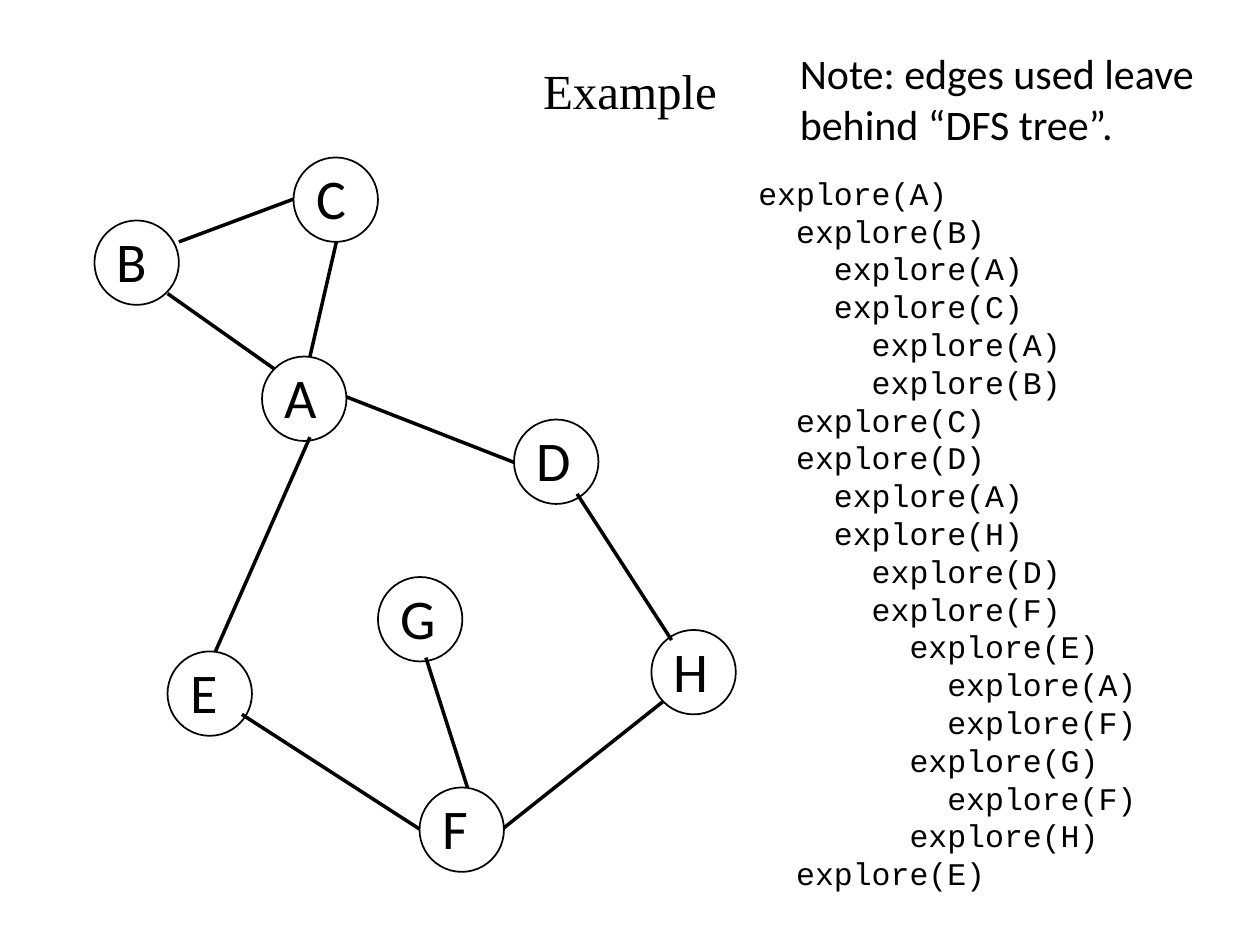
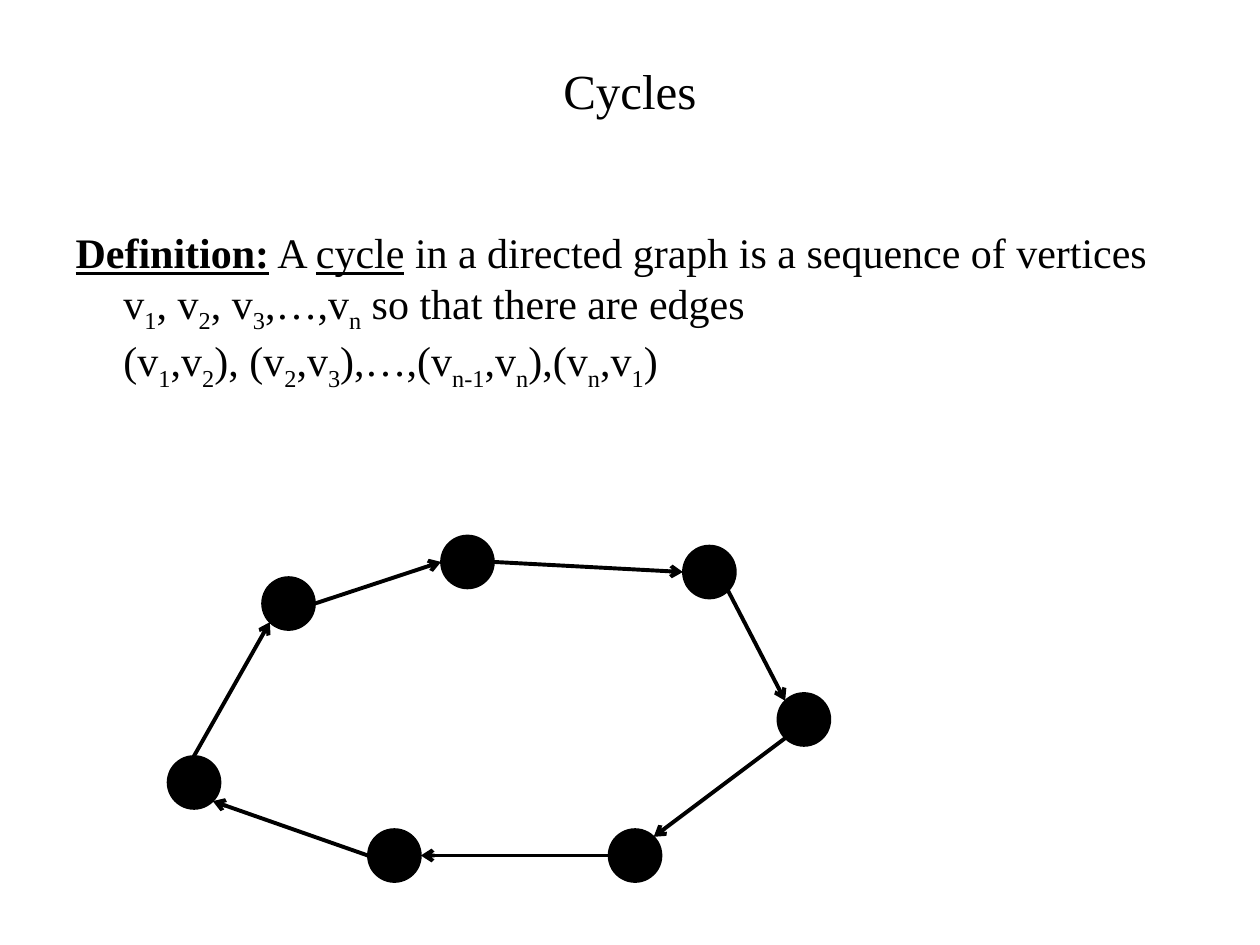
from math import cos, radians, sin
from typing import NamedTuple

from lxml import etree
from pptx import Presentation
from pptx.dml.color import RGBColor
from pptx.enum.shapes import MSO_CONNECTOR, MSO_SHAPE
from pptx.enum.text import MSO_ANCHOR, MSO_AUTO_SIZE, PP_ALIGN
from pptx.oxml.ns import qn
from pptx.util import Inches, Pt

BLACK = RGBColor(0, 0, 0)
WHITE = RGBColor(255, 255, 255)
SERIF, SANS, MONO = "Times New Roman", "Calibri", "Courier New"
ELLIPSE = MSO_SHAPE.OVAL
STRAIGHT = MSO_CONNECTOR.STRAIGHT
CENTER = PP_ALIGN.CENTER
MIDDLE, TOP = MSO_ANCHOR.MIDDLE, MSO_ANCHOR.TOP
NO_FIT, GROW = MSO_AUTO_SIZE.NONE, MSO_AUTO_SIZE.SHAPE_TO_FIT_TEXT
TITLE_ONLY, TITLE_AND_BODY = 5, 1

VERTEX_SIZE = 0.67
DOT_SIZE = 0.42
RIGHT, BOTTOM_RIGHT, BOTTOM_LEFT, LEFT = 0, 45, 135, 180
TOP_LEFT, TOP_MIDDLE, TOP_RIGHT = 225, 270, 315


class Point(NamedTuple):
    x: float
    y: float


class Vertex(NamedTuple):
    letter: str
    corner: Point


class Edge(NamedTuple):
    start: Point
    end: Point


class Call(NamedTuple):
    depth: int
    vertex: str


class Dot(NamedTuple):
    corner: Point
    entry: int
    leave: int

    def rim(self, angle: int) -> Point:
        radius = DOT_SIZE / 2
        return Point(
            self.corner.x + radius + radius * cos(radians(angle)),
            self.corner.y + radius + radius * sin(radians(angle)),
        )


VERTICES = [
    Vertex("A", Point(2.08, 2.83)),
    Vertex("B", Point(0.75, 1.75)),
    Vertex("C", Point(2.33, 1.25)),
    Vertex("D", Point(4.08, 3.33)),
    Vertex("E", Point(1.33, 5.17)),
    Vertex("F", Point(3.33, 6.25)),
    Vertex("G", Point(3, 4.58)),
    Vertex("H", Point(5.17, 5)),
]
EDGES = [
    Edge(Point(2.67, 1.92), Point(2.46, 2.83)),
    Edge(Point(1.33, 2.33), Point(2.18, 2.93)),
    Edge(Point(2.33, 1.58), Point(1.42, 1.92)),
    Edge(Point(4.08, 3.67), Point(2.75, 3.15)),
    Edge(Point(5.33, 5.08), Point(4.58, 3.92)),
    Edge(Point(5.26, 5.57), Point(4, 6.57)),
    Edge(Point(3.38, 5.22), Point(3.71, 6.25)),
    Edge(Point(1.92, 5.67), Point(3.33, 6.58)),
    Edge(Point(2.46, 3.47), Point(1.71, 5.17)),
]
CALLS = [
    Call(0, "A"), Call(1, "B"), Call(2, "A"), Call(2, "C"), Call(3, "A"),
    Call(3, "B"), Call(1, "C"), Call(1, "D"), Call(2, "A"), Call(2, "H"),
    Call(3, "D"), Call(3, "F"), Call(4, "E"), Call(5, "A"), Call(5, "F"),
    Call(4, "G"), Call(5, "F"), Call(4, "H"), Call(1, "E"),
]
CYCLE = [
    Dot(Point(2.08, 4.58), BOTTOM_LEFT, RIGHT),
    Dot(Point(3.5, 4.25), LEFT, RIGHT),
    Dot(Point(5.42, 4.33), LEFT, BOTTOM_RIGHT),
    Dot(Point(6.17, 5.5), TOP_LEFT, BOTTOM_LEFT),
    Dot(Point(4.83, 6.58), TOP_RIGHT, LEFT),
    Dot(Point(2.92, 6.58), RIGHT, LEFT),
    Dot(Point(1.33, 6), BOTTOM_RIGHT, TOP_MIDDLE),
]
VERTEX_SEQUENCE = [
    " in a directed graph is a sequence of vertices v", "1", ", v", "2",
    ", v", "3", ",…,v", "n", " so that there are edges",
]
EDGE_SEQUENCE = [
    "(v", "1", ",v", "2", "), (v", "2", ",v", "3", "),…,(v", "n-1",
    ",v", "n", "),(v", "n", ",v", "1", ")",
]


def add_run(paragraph, text: str, font_name: str, size: int):
    run = paragraph.add_run()
    run.text = text
    run.font.name = font_name
    run.font.size = Pt(size)
    run.font.color.rgb = BLACK
    return run


def place(shape, left: float, top: float, width: float, height: float) -> None:
    shape.left, shape.top = Inches(left), Inches(top)
    shape.width, shape.height = Inches(width), Inches(height)


def add_titled_slide(deck, layout: int, heading: str):
    slide = deck.slides.add_slide(deck.slide_layouts[layout])
    slide.background.fill.solid()
    slide.background.fill.fore_color.rgb = WHITE
    title = slide.shapes.title
    place(title, 0.75, 0.42, 8.5, 0.58)
    title.text_frame.auto_size = NO_FIT
    title.text_frame.vertical_anchor = MIDDLE
    paragraph = title.text_frame.paragraphs[0]
    paragraph.alignment = CENTER
    add_run(paragraph, heading, SERIF, 28)
    return slide


def add_text(slide, corner: Point, width: float, height: float,
             lines: list[str], font_name: str, size: int):
    frame = slide.shapes.add_textbox(
        Inches(corner.x), Inches(corner.y), Inches(width), Inches(height)
    ).text_frame
    frame.word_wrap = True
    frame.auto_size = GROW
    for index, line in enumerate(lines):
        paragraph = frame.add_paragraph() if index else frame.paragraphs[0]
        add_run(paragraph, line, font_name, size)
    return frame


def add_circle(slide, corner: Point, size: float, filled: bool) -> None:
    circle = slide.shapes.add_shape(
        ELLIPSE, Inches(corner.x), Inches(corner.y), Inches(size), Inches(size)
    )
    circle.shadow.inherit = False
    if filled:
        circle.fill.solid()
        circle.fill.fore_color.rgb = BLACK
    else:
        circle.fill.background()
    circle.line.color.rgb = BLACK
    circle.line.width = Pt(1)


def add_edge(slide, edge: Edge, width: float, directed: bool) -> None:
    connector = slide.shapes.add_connector(
        STRAIGHT, Inches(edge.start.x), Inches(edge.start.y),
        Inches(edge.end.x), Inches(edge.end.y),
    )
    connector.line.color.rgb = BLACK
    connector.line.width = Pt(width)
    properties = connector.element.spPr
    if directed:
        etree.SubElement(properties.find(qn("a:ln")), qn("a:tailEnd"), type="arrow")
    etree.SubElement(properties, qn("a:effectLst"))


def add_subscripted(paragraph, pieces: list[str]) -> None:
    for index, piece in enumerate(pieces):
        run = add_run(paragraph, piece, SERIF, 24)
        if index % 2:
            run.font._element.set("baseline", "-25000")


def build_example(deck) -> None:
    slide = add_titled_slide(deck, TITLE_ONLY, "Example")
    for vertex in VERTICES:
        add_circle(slide, vertex.corner, VERTEX_SIZE, filled=False)
        label_corner = Point(vertex.corner.x + 0.08, vertex.corner.y)
        add_text(slide, label_corner, 0.58, 0.64, [vertex.letter], SANS, 32)
    for edge in EDGES:
        add_edge(slide, edge, 2, directed=False)
    trace_lines = ["  " * call.depth + f"explore({call.vertex})" for call in CALLS]
    trace = add_text(slide, Point(5.92, 1.33), 3.92, 5.8, trace_lines, MONO, 18)
    for paragraph in trace.paragraphs:
        paragraph.line_spacing = Pt(21.6)
    add_text(slide, Point(6.25, 0.33), 3.5, 0.9,
             ["Note: edges used leave behind “DFS tree”."], SANS, 24)


def build_cycles(deck) -> None:
    slide = add_titled_slide(deck, TITLE_AND_BODY, "Cycles")
    body = slide.placeholders[1]
    place(body, 0.5, 1.75, 9.08, 2.5)
    body.text_frame.auto_size = NO_FIT
    body.text_frame.vertical_anchor = TOP
    definition = body.text_frame.paragraphs[0]
    definition.space_before = Pt(0)
    properties = definition._p.get_or_add_pPr()
    properties.set("marL", str(Inches(0.38)))
    properties.set("indent", str(-Inches(0.38)))
    etree.SubElement(properties, qn("a:buNone"))
    term = add_run(definition, "Definition:", SERIF, 24)
    term.font.bold = term.font.underline = True
    add_run(definition, " A ", SERIF, 24)
    add_run(definition, "cycle", SERIF, 24).font.underline = True
    add_subscripted(definition, VERTEX_SEQUENCE)
    definition.add_line_break()
    etree.SubElement(definition._p[-1], qn("a:rPr"), sz="2400")
    add_subscripted(definition, EDGE_SEQUENCE)
    for dot, following in zip(CYCLE, CYCLE[1:] + CYCLE[:1]):
        add_circle(slide, dot.corner, DOT_SIZE, filled=True)
        arrow = Edge(dot.rim(dot.leave), following.rim(following.entry))
        add_edge(slide, arrow, 2.25, directed=True)


def main() -> None:
    deck = Presentation()
    deck.slide_width, deck.slide_height = Inches(10), Inches(7.5)
    build_example(deck)
    build_cycles(deck)
    deck.save("out.pptx")


if __name__ == "__main__":
    main()
